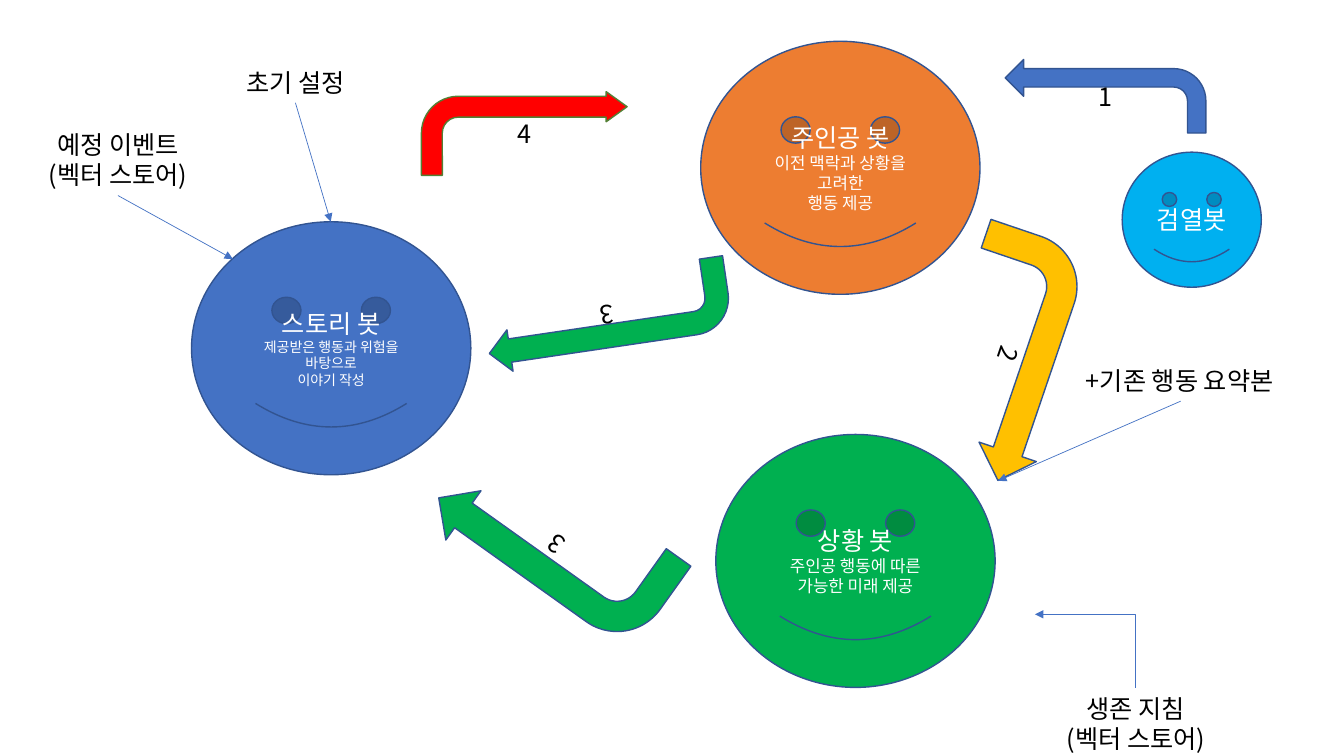
from dataclasses import dataclass
from typing import Optional

import lxml.etree
import pptx
import pptx.dml.color
import pptx.enum.shapes
import pptx.enum.text
import pptx.oxml.ns
import pptx.util

Inches = pptx.util.Inches
Shapes = pptx.enum.shapes.MSO_SHAPE
qn = pptx.oxml.ns.qn
Box = tuple[float, float, float, float]
Point = tuple[float, float]


@dataclass(frozen=True)
class Theme:
    font: str = "Noto Sans CJK KR"
    title_size: float = 18
    detail_size: float = 12
    small_size: float = 10
    outline_width: float = 1
    pointer_width: float = 0.5
    white: str = "FFFFFF"
    black: str = "000000"
    blue: str = "4472C4"
    sky: str = "00B0F0"
    orange: str = "ED7D31"
    green: str = "00B050"
    yellow: str = "FFC000"
    red: str = "FF0000"
    outline: str = "325491"
    dark_green: str = "538035"


THEME = Theme()


@dataclass(frozen=True)
class Bot:
    box: Box
    fill: str
    name: str
    details: tuple[str, ...] = ()
    detail_size: float = THEME.detail_size


@dataclass(frozen=True)
class StepArrow:
    box: Box
    fill: str
    step: str
    rotation: float = 0
    flipped: bool = False
    adjustments: tuple[float, ...] = ()
    outline: str = THEME.outline


@dataclass(frozen=True)
class Label:
    box: Box
    lines: tuple[str, ...]


@dataclass(frozen=True)
class Pointer:
    start: Point
    end: Point
    preset: Optional[str] = None
    rotation: int = 0


BOT_SIZE = (2.77, 2.51)
BOTS = [
    Bot((1.9, 2.2, *BOT_SIZE), THEME.blue, "스토리 봇",
        ("제공받은 행동과 위험을 바탕으로", "이야기 작성"), THEME.small_size),
    Bot((6.95, 0.41, *BOT_SIZE), THEME.orange, "주인공 봇",
        ("이전 맥락과 상황을 고려한", "행동 제공")),
    Bot((7.1, 4.31, *BOT_SIZE), THEME.green, "상황 봇",
        ("주인공 행동에 따른", "가능한 미래 제공")),
    Bot((11.13, 1.51, 1.38, 1.34), THEME.sky, "검열봇"),
]
STEP_ARROWS = [
    StepArrow((9.97, 0.59, 1.99, 0.73), THEME.blue, "1", flipped=True),
    StepArrow((8.79, 2.92, 2.43, 1.2), THEME.yellow, "2", rotation=108.8),
    StepArrow((4.3, 4.8, 2.43, 1.2), THEME.green, "3", rotation=215.5),
    StepArrow((4.81, 2.71, 2.43, 0.83), THEME.green, "3", rotation=171.6,
              adjustments=(0.28, 0.25, 0.25, 0.44)),
    StepArrow((4.18, 0.91, 2.04, 0.83), THEME.red, "4",
              adjustments=(0.25, 0.18, 0.25, 0.44), outline=THEME.dark_green),
]
LABELS = [
    Label((10.27, 6.83, 1.99, 0.71), ("생존 지침", "(벡터 스토어)")),
    Label((2, 0.62, 1.86, 0.4), ("초기 설정",)),
    Label((0.24, 1.23, 1.86, 0.71), ("예정 이벤트", "(벡터 스토어)")),
    Label((10.49, 3.58, 2.42, 0.4), ("+기존 행동 요약본",)),
]
POINTERS = [
    # The elbow is laid out unrotated, then turned about its centre
    Pointer((10.4, 6.96), (11.13, 5.96), "bentConnector2", 270),
    Pointer((2.93, 1.02), (3.28, 2.2)),
    Pointer((1.17, 1.94), (2.31, 2.57)),
    Pointer((11.71, 3.98), (9.9, 4.77)),
]


def rgb(value: str) -> pptx.dml.color.RGBColor:
    return pptx.dml.color.RGBColor.from_string(value)


def write_text(shape, lines: list[tuple[str, float]], color: str) -> None:
    frame = shape.text_frame
    frame.word_wrap = True
    for index, (text, size) in enumerate(lines):
        paragraph = frame.add_paragraph() if index else frame.paragraphs[0]
        paragraph.text = text
        paragraph.alignment = pptx.enum.text.PP_ALIGN.CENTER
        paragraph.font.size = pptx.util.Pt(size)
        paragraph.font.color.rgb = rgb(color)
        paragraph.font.name = THEME.font
        # Korean glyphs take the East Asian typeface
        properties = paragraph._p.pPr.find(qn("a:defRPr"))
        lxml.etree.SubElement(properties, qn("a:ea"), typeface=THEME.font)


def add_filled_shape(slide, kind, box: Box, fill: str, outline: str):
    shape = slide.shapes.add_shape(kind, *map(Inches, box))
    shape.shadow.inherit = False
    shape.fill.solid()
    shape.fill.fore_color.rgb = rgb(fill)
    shape.line.color.rgb = rgb(outline)
    shape.line.width = pptx.util.Pt(THEME.outline_width)
    return shape


def add_bot(slide, bot: Bot) -> None:
    shape = add_filled_shape(slide, Shapes.SMILEY_FACE, bot.box, bot.fill, THEME.outline)
    lines = [(bot.name, THEME.title_size)]
    lines += [(detail, bot.detail_size) for detail in bot.details]
    write_text(shape, lines, THEME.white)


def add_step_arrow(slide, arrow: StepArrow) -> None:
    shape = add_filled_shape(slide, Shapes.BENT_ARROW, arrow.box, arrow.fill, arrow.outline)
    shape.rotation = arrow.rotation
    for index, value in enumerate(arrow.adjustments):
        shape.adjustments[index] = value
    if arrow.flipped:
        shape._element.spPr.find(qn("a:xfrm")).set("flipH", "1")
    write_text(shape, [(arrow.step, THEME.title_size)], THEME.black)


def add_label(slide, label: Label) -> None:
    shape = slide.shapes.add_textbox(*map(Inches, label.box))
    write_text(shape, [(line, THEME.title_size) for line in label.lines], THEME.black)


def add_pointer(slide, pointer: Pointer) -> None:
    connector = slide.shapes.add_connector(
        pptx.enum.shapes.MSO_CONNECTOR.STRAIGHT,
        *map(Inches, pointer.start + pointer.end))
    connector.line.color.rgb = rgb(THEME.blue)
    connector.line.width = pptx.util.Pt(THEME.pointer_width)
    properties = connector._element.spPr
    lxml.etree.SubElement(properties.find(qn("a:ln")), qn("a:tailEnd"), type="triangle")
    lxml.etree.SubElement(properties, qn("a:effectLst"))
    if pointer.preset:
        properties.find(qn("a:prstGeom")).set("prst", pointer.preset)
        properties.find(qn("a:xfrm")).set("rot", str(pointer.rotation * 60000))


def main() -> None:
    presentation = pptx.Presentation()
    presentation.slide_width = Inches(13.33)
    presentation.slide_height = Inches(7.5)
    slide = presentation.slides.add_slide(presentation.slide_layouts[6])

    # Bots and the numbered flow between them
    for bot in BOTS:
        add_bot(slide, bot)
    for arrow in STEP_ARROWS:
        add_step_arrow(slide, arrow)

    # Outside inputs and their pointers
    for label in LABELS:
        add_label(slide, label)
    for pointer in POINTERS:
        add_pointer(slide, pointer)

    presentation.save("out.pptx")


if __name__ == "__main__":
    main()
